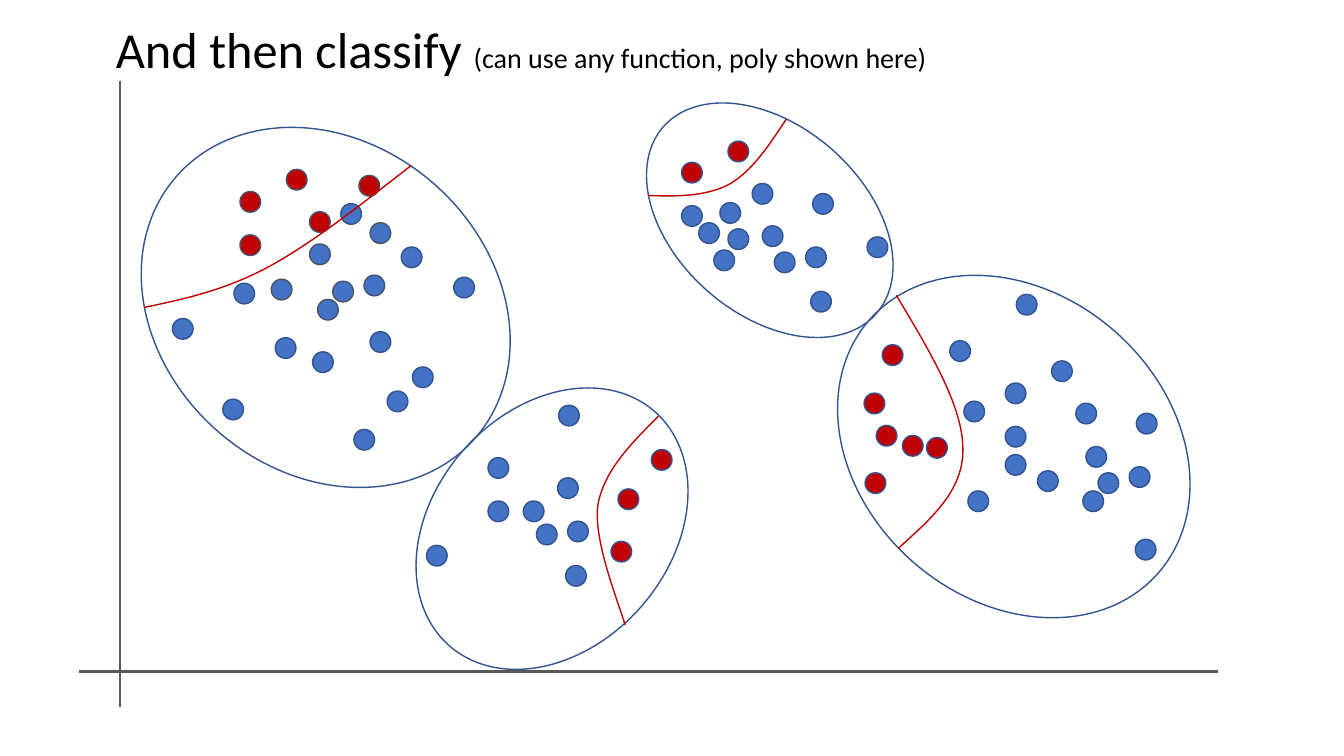
from dataclasses import dataclass

from lxml import etree
from pptx import Presentation
from pptx.dml.color import RGBColor
from pptx.enum.shapes import MSO_CONNECTOR, MSO_SHAPE
from pptx.enum.text import MSO_AUTO_SIZE
from pptx.oxml.ns import qn
from pptx.util import Inches, Pt

OVAL = MSO_SHAPE.OVAL
STRAIGHT = MSO_CONNECTOR.STRAIGHT
GROW = MSO_AUTO_SIZE.SHAPE_TO_FIT_TEXT


@dataclass(frozen=True)
class Theme:
    """Colours, type sizes and line widths of the slide."""
    font: str = "Calibri"
    title_size: int = 36
    note_size: int = 20
    text: str = "000000"
    axis: str = "595959"
    blue: str = "4472C4"
    red: str = "C00000"
    outline: str = "325491"
    slate: str = "44546A"
    axis_width: int = 2
    thin: int = 1


@dataclass(frozen=True)
class Cluster:
    """One cluster; dots and boundary are in cells from the box's corner."""
    box: tuple
    red: tuple
    blue: tuple
    boundary: tuple
    slate_blue: tuple = ()
    red_outline: str = Theme.outline


THEME = Theme()
CELL = 0.1  # the slide is a grid of tenths of an inch
COLUMNS, ROWS = 133.3, 75
DOT = 2.05
TILT = 41.3

CLUSTERS = (
    Cluster(
        box=(12.6, 14.2, 39.4, 32.6),
        red=((11.2, 4.8), (11.2, 9.1), (15.8, 2.6), (18.1, 6.8), (23, 3.2)),
        red_outline=THEME.slate,
        slate_blue=((18.1, 10), (14.3, 13.5), (24.1, 7.9), (23.5, 13.1),
                    (18.9, 15.5), (20.4, 13.7)),
        blue=((32.4, 13.3), (21.2, 6), (28.3, 22.2), (27.2, 10.3),
              (9.5, 25.4), (24.1, 18.7), (18.4, 20.7), (22.5, 28.4),
              (4.5, 17.4), (25.8, 24.6), (14.7, 19.3), (10.6, 13.9)),
        boundary=((28.2, 2.2), (23.2, 6.1), (18.3, 10), (13.8, 12.4),
                  (9.4, 14.7), (5.5, 15.5), (1.7, 16.3))),
    Cluster(
        box=(62.3, 12.5, 28.1, 18.7),
        red=((5.3, 3.6), (9.9, 1.5)),
        blue=((5.3, 7.9), (12.3, 5.7), (8.5, 12.3), (13.3, 9.9),
              (18.3, 6.7), (17.6, 12), (23.7, 11), (14.5, 12.5),
              (18.1, 16.4), (9.1, 7.6), (7, 9.6), (9.9, 10.2)),
        boundary=((2, 6.9), (4.8, 7), (7.7, 7), (10, 5.8),
                  (12.3, 4.5), (14, 1.9), (15.7, -0.7))),
    Cluster(
        box=(43, 37, 23.5, 30.9),
        red=((18.3, 11.5), (17.6, 16.7), (21.6, 7.6)),
        blue=((8.9, 12.7), (5.4, 8.4), (5.4, 12.7), (12.3, 10.4),
              (-0.7, 17.1), (13.3, 14.7), (13.1, 19.1), (10.2, 15),
              (12.4, 3.2)),
        boundary=((22.3, 4.3), (19.6, 7), (16.9, 9.7), (16.3, 13.1),
                  (15.8, 16.6), (18.4, 22.9), (19, 25))),
    Cluster(
        box=(81.5, 29.1, 38.1, 30.4),
        red=((6, 5.1), (4.2, 9.9), (8, 14.1), (4.3, 17.8), (10.4, 14.3),
             (5.4, 13.1)),
        blue=((31.1, 24.4), (18.2, 8.9), (18.2, 13.2), (22.8, 6.7),
              (25.2, 10.9), (21.4, 17.6), (26.2, 15.2), (31.2, 11.9),
              (30.5, 17.2), (25.9, 19.6), (27.4, 17.8), (19.3, 0.1),
              (18.2, 16), (14.1, 10.7), (14.5, 19.6), (12.7, 4.7)),
        boundary=((7.4, 0.2), (10.7, 5.7), (14, 11.2), (14, 15.4),
                  (14.1, 19.6), (10.8, 22.4), (7.6, 25.3))),
)


def cells(*counts):
    """Turn grid cells into slide lengths."""
    return [Inches(count * CELL) for count in counts]


def set_line(line, color, width):
    """Give a line its colour and width."""
    line.color.rgb = RGBColor.from_string(color)
    line.width = Pt(width)


def add_run(text, *, paragraph, size, color=THEME.text, font=THEME.font):
    """Append formatted text to a paragraph."""
    run = paragraph.add_run()
    run.text = text
    run.font.size = Pt(size)
    run.font.name = font
    run.font.color.rgb = RGBColor.from_string(color)


def add_ellipse(slide, box, outline, fill=None):
    """Draw an ellipse, hollow unless a fill is given."""
    ellipse = slide.shapes.add_shape(OVAL, *cells(*box))
    ellipse.shadow.inherit = False
    set_line(ellipse.line, outline, THEME.thin)
    if fill:
        ellipse.fill.solid()
        ellipse.fill.fore_color.rgb = RGBColor.from_string(fill)
    else:
        ellipse.fill.background()
    return ellipse


def add_boundary(slide, points):
    """Draw a chain of cubic curves: a start, then three points for each."""
    start, *rest = [cells(*point) for point in points]
    builder = slide.shapes.build_freeform(*start)
    builder.add_line_segments(rest, close=False)
    boundary = builder.convert_to_shape()
    boundary.shadow.inherit = False
    boundary.fill.background()
    set_line(boundary.line, THEME.red, THEME.thin)
    segments = list(boundary._element.iter(qn("a:lnTo")))
    outline = segments[0].getparent()
    for first in range(0, len(segments), 3):
        curve = etree.SubElement(outline, qn("a:cubicBezTo"))
        for segment in segments[first:first + 3]:
            curve.append(segment[0])
            outline.remove(segment)


def add_axes(slide, box, origin):
    """Draw two axes that span the box and cross at the origin."""
    left, top, width, height = box
    across, down = origin
    for ends in ((left + across, top, left + across, top + height),
                 (left, top + down, left + width, top + down)):
        axis = slide.shapes.add_connector(STRAIGHT, *cells(*ends))
        set_line(axis.line, THEME.axis, THEME.axis_width)
        etree.SubElement(axis._element.spPr, qn("a:effectLst"))


def add_title(slide, box):
    """Write the title and its smaller remark in the box."""
    title = slide.shapes.add_textbox(*cells(*box)).text_frame
    title.word_wrap = True
    title.auto_size = GROW
    paragraph = title.paragraphs[0]
    add_run("And then classify ", paragraph=paragraph, size=THEME.title_size)
    add_run("(can use any function, poly shown here)",
            paragraph=paragraph, size=THEME.note_size)


def add_cluster(slide, cluster):
    """Draw a cluster's dots, tilted outline and class boundary in its box."""
    left, top = cluster.box[:2]
    for dots, fill, outline in (
            (cluster.red, THEME.red, cluster.red_outline),
            (cluster.slate_blue, THEME.blue, THEME.slate),
            (cluster.blue, THEME.blue, THEME.outline)):
        for x, y in dots:
            add_ellipse(slide, (left + x, top + y, DOT, DOT), outline, fill)
    add_ellipse(slide, cluster.box, THEME.outline).rotation = TILT
    add_boundary(slide, [(left + x, top + y) for x, y in cluster.boundary])


def main():
    """Build the slide and save it."""
    deck = Presentation()
    deck.slide_width, deck.slide_height = cells(COLUMNS, ROWS)
    slide = deck.slides.add_slide(deck.slide_layouts[6])
    add_axes(slide, (7.8, 8, 113, 62.1), (4.1, 58.6))
    add_title(slide, (10.5, 1.3, 87.5, 7.1))
    for cluster in CLUSTERS:
        add_cluster(slide, cluster)
    deck.save("out.pptx")


main()
